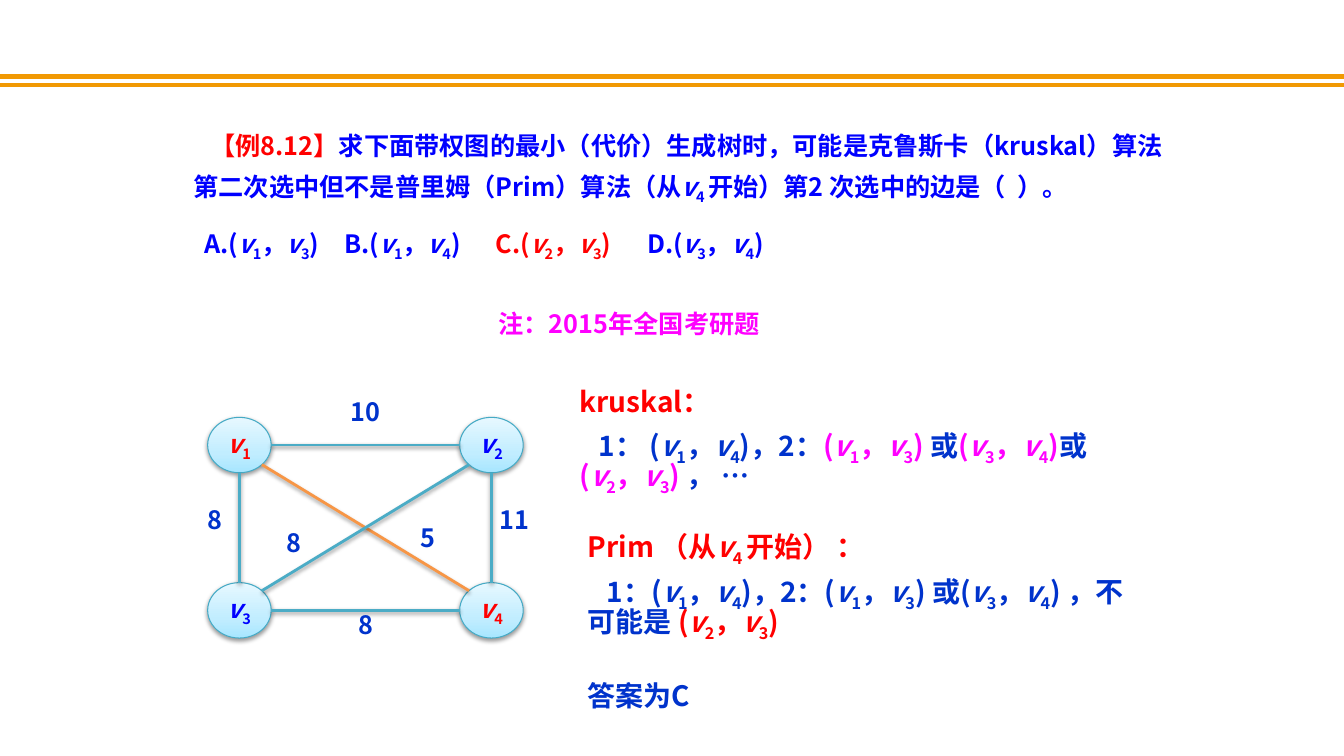
from dataclasses import dataclass
from math import sqrt

from lxml import etree
from pptx import Presentation
from pptx.dml.color import RGBColor
from pptx.enum.shapes import MSO_CONNECTOR, MSO_SHAPE
from pptx.enum.text import MSO_ANCHOR, MSO_AUTO_SIZE, PP_ALIGN
from pptx.oxml.ns import qn
from pptx.util import Inches, Pt

STRAIGHT = MSO_CONNECTOR.STRAIGHT
OVAL = MSO_SHAPE.OVAL
MIDDLE = MSO_ANCHOR.MIDDLE
GROW = MSO_AUTO_SIZE.SHAPE_TO_FIT_TEXT
LEFT, CENTER = PP_ALIGN.LEFT, PP_ALIGN.CENTER


@dataclass(frozen=True)
class Theme:
    font: str = "Noto Sans CJK SC"
    body: int = 18
    answer: int = 20
    navy: str = "0033CC"
    blue: str = "0000FF"
    red: str = "FF0000"
    magenta: str = "FF00FF"
    rule: str = "F19903"
    edge: str = "4BACC6"
    chosen_edge: str = "F79646"
    node_line: str = "46AAC5"
    node_fill: tuple = ((0, "A7E6FF"), (35, "C1EDFF"), (100, "E7F8FF"))
    shadow: str = "000000"


THEME = Theme()


@dataclass(frozen=True)
class Line:
    """One paragraph: (colour, text) pieces, where v1 stands for an italic v with subscript 1."""
    pieces: tuple
    indent: float = 0
    tabs: tuple = ()


@dataclass(frozen=True)
class TextBlock:
    left: float
    top: float
    width: float
    height: float
    lines: tuple
    size: int = THEME.body
    spacing: object = 0.8
    align: object = LEFT
    inset: bool = True


@dataclass(frozen=True)
class Node:
    name: str
    column: int
    row: int
    color: str


@dataclass(frozen=True)
class Edge:
    start: str
    end: str
    weight: str
    label_left: float
    label_top: float
    color: str = THEME.edge


NODE_W, NODE_H = 0.63, 0.55
GRID_LEFT, GRID_TOP, GRID_DX, GRID_DY = 2.06, 4.14, 2.5, 1.64
LABEL_W, LABEL_H = 0.63, 0.24

NODES = (
    Node("v1", 0, 0, THEME.red), Node("v2", 1, 0, THEME.blue),
    Node("v3", 0, 1, THEME.blue), Node("v4", 1, 1, THEME.red),
)
EDGES = (
    Edge("v1", "v2", "10", 3.31, 3.99),
    Edge("v1", "v3", "8", 1.82, 5.06),
    Edge("v3", "v4", "8", 3.31, 6.1),
    Edge("v2", "v4", "11", 4.79, 5.06),
    Edge("v1", "v4", "5", 3.93, 5.24, THEME.chosen_edge),
    Edge("v3", "v2", "8", 2.6, 5.29),
)
BLOCKS = (
    TextBlock(1.82, 1.1, 9.84, 1.6, (
        Line(((THEME.red, "【例8.12】"),
              (THEME.blue, "求下面带权图的最小（代价）生成树时，可能是克鲁斯卡（kruskal）算法"
                           "第二次选中但不是普里姆（Prim）算法（从v4 开始）第2 次选中的边是（  ）。")), 0.17),
        Line(((THEME.blue, "A.(v1，v3)\tB.(v1，v4)\t"), (THEME.red, "C.(v2，v3)"),
              (THEME.blue, "\tD.(v3，v4)")), 0.11, (1.59, 3.09, 4.64)),
    ), spacing=Pt(32)),
    TextBlock(5.73, 5.24, 5.55, 1.08, (
        Line(((THEME.red, "Prim （从v4 开始） ："),)),
        Line(((THEME.navy, "1：(v1，v4)，2：(v1，v3) 或(v3，v4) ，不可能是"),
              (THEME.red, " (v2，v3)")), 0.19),
    ), THEME.answer),
    TextBlock(5.65, 3.83, 5.47, 1.08, (
        Line(((THEME.red, "kruskal："),)),
        Line(((THEME.navy, "1： (v1，v4)，2："), (THEME.magenta, "(v1，v3) "),
              (THEME.navy, "或"), (THEME.magenta, "(v3，v4)"), (THEME.navy, "或"),
              (THEME.magenta, "(v2，v3) "), (THEME.navy, "， …")), 0.19),
    ), THEME.answer),
    TextBlock(4.48, 3.07, 3.52, 0.34,
              (Line(((THEME.magenta, "注：2015年全国考研题"),)),), align=CENTER),
    TextBlock(5.73, 6.75, 2.5, 0.37, (Line(((THEME.navy, "答案为C"),)),), THEME.answer),
)


def add_xml(parent, tag: str, **attributes):
    return etree.SubElement(parent, qn(tag), {key: str(value) for key, value in attributes.items()})


def add_span(para, text: str, color: str, size: int, italic: bool = False, subscript: bool = False) -> None:
    if not text:
        return
    span = para.add_run()
    span.text = text
    font = span.font
    font.name, font.size, font.bold, font.italic = THEME.font, Pt(size), True, italic
    font.color.rgb = RGBColor.from_string(color)
    properties = span._r.get_or_add_rPr()
    add_xml(properties, "a:ea", typeface=THEME.font)
    if subscript:
        properties.set("baseline", "-25000")


def write_line(para, line: Line, size: int, spacing, align) -> None:
    para.alignment, para.line_spacing = align, spacing
    properties = para._p.get_or_add_pPr()
    properties.set("indent", str(Inches(line.indent)))
    add_xml(add_xml(properties, "a:spcBef"), "a:spcPct", val=50000)
    if line.tabs:
        stops = add_xml(properties, "a:tabLst")
        for stop in line.tabs:
            add_xml(stops, "a:tab", pos=Inches(stop), algn="l")
    for color, text in line.pieces:
        plain, *vertices = text.split("v")
        add_span(para, plain, color, size)
        for vertex in vertices:
            digit_end = 2 if vertex[1:2] == " " else 1
            add_span(para, "v", color, size, italic=True)
            add_span(para, vertex[:digit_end], color, size, subscript=True)
            add_span(para, vertex[digit_end:], color, size)


def add_block(page, block: TextBlock) -> None:
    box = page.shapes.add_textbox(*map(Inches, (block.left, block.top, block.width, block.height)))
    frame = box.text_frame
    frame.word_wrap, frame.auto_size = True, GROW
    if not block.inset:
        frame.margin_left = frame.margin_right = frame.margin_top = frame.margin_bottom = 0
    for index, line in enumerate(block.lines):
        para = frame.add_paragraph() if index else frame.paragraphs[0]
        write_line(para, line, block.size, block.spacing, block.align)


def add_shadow(effects) -> None:
    shadow = add_xml(effects, "a:outerShdw", blurRad=Pt(3.1), dist=Pt(1.6), dir=5400000, rotWithShape=0)
    add_xml(add_xml(shadow, "a:srgbClr", val=THEME.shadow), "a:alpha", val=38000)


def add_line(page, start: tuple, end: tuple, color: str, width: float, shadowed: bool = False) -> None:
    line = page.shapes.add_connector(STRAIGHT, *map(Inches, start + end))
    line.line.color.rgb = RGBColor.from_string(color)
    line.line.width = Pt(width)
    effects = add_xml(line._element.spPr, "a:effectLst")
    if shadowed:
        add_shadow(effects)


def add_node(page, node: Node) -> None:
    left, top = GRID_LEFT + node.column * GRID_DX, GRID_TOP + node.row * GRID_DY
    oval = page.shapes.add_shape(OVAL, *map(Inches, (left, top, NODE_W, NODE_H)))
    oval.fill.gradient()
    oval.fill.gradient_angle = 90
    stops = oval._element.spPr.find(".//" + qn("a:gsLst"))
    stops.clear()
    for percent, color in THEME.node_fill:
        add_xml(add_xml(stops, "a:gs", pos=percent * 1000), "a:srgbClr", val=color)
    oval.line.color.rgb = RGBColor.from_string(THEME.node_line)
    oval.line.width = Pt(0.75)
    oval.shadow.inherit = False
    add_shadow(oval._element.spPr.find(qn("a:effectLst")))
    frame = oval.text_frame
    frame.word_wrap, frame.vertical_anchor = False, MIDDLE
    write_line(frame.paragraphs[0], Line(((node.color, node.name),)), THEME.body, 0.8, CENTER)


def rim_point(node: Node, dx: int, dy: int) -> tuple:
    """Point on the node's outline in the grid direction (dx, dy)."""
    reach = 0.5 / sqrt(dx * dx + dy * dy)
    return (GRID_LEFT + node.column * GRID_DX + NODE_W * (0.5 + dx * reach),
            GRID_TOP + node.row * GRID_DY + NODE_H * (0.5 + dy * reach))


def main() -> None:
    deck = Presentation()
    deck.slide_width, deck.slide_height = Inches(13.33), Inches(7.5)
    page = deck.slides.add_slide(deck.slide_layouts[6])
    for height in (0.76, 0.84):
        add_line(page, (0, height), (13.33, height), THEME.rule, 3)
    for node in NODES:
        add_node(page, node)
    by_name = {node.name: node for node in NODES}
    for edge in EDGES:
        start, end = by_name[edge.start], by_name[edge.end]
        dx, dy = end.column - start.column, end.row - start.row
        add_line(page, rim_point(start, dx, dy), rim_point(end, -dx, -dy), edge.color, 2, True)
    weights = tuple(TextBlock(edge.label_left, edge.label_top, LABEL_W, LABEL_H,
                              (Line(((THEME.navy, edge.weight),)),), align=CENTER, inset=False)
                    for edge in EDGES)
    for block in weights + BLOCKS:
        add_block(page, block)
    deck.save("out.pptx")


if __name__ == "__main__":
    main()
